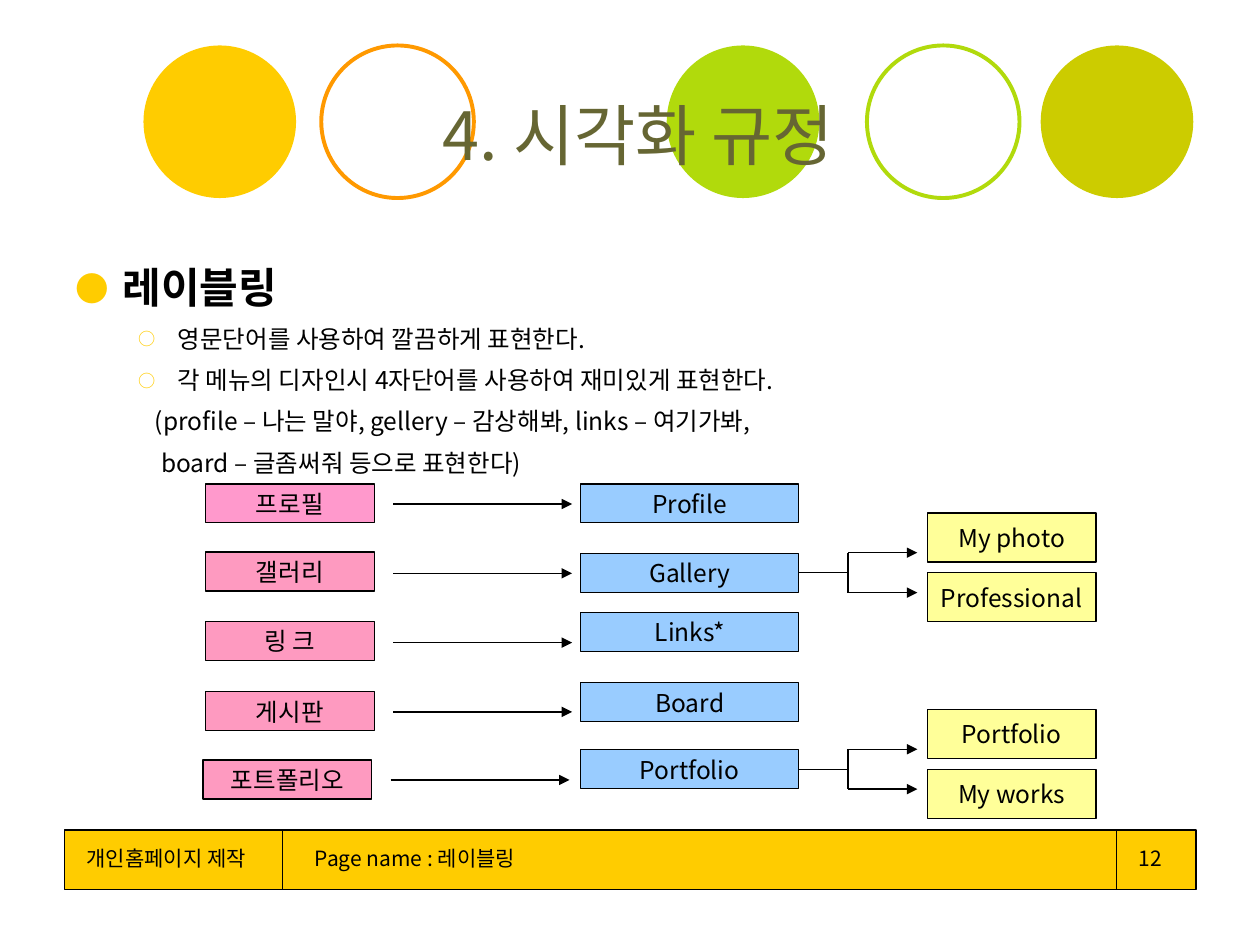
from lxml.etree import SubElement
from pptx import Presentation
from pptx.dml.color import RGBColor
from pptx.enum.shapes import MSO_CONNECTOR, MSO_SHAPE
from pptx.enum.text import MSO_ANCHOR, PP_ALIGN
from pptx.oxml.ns import qn
from pptx.util import Pt

FONT = "Noto Sans CJK KR"
BLACK, GOLD, LIME = "000000", "FFCC00", "B1DA0C"
PINK, BLUE, YELLOW = "FE9AC0", "99CCFF", "FFFF99"

# Content: circles are left, fill, outline
CIRCLES = [(381, LIME, None), (594.7, "CCCC00", None), (82, GOLD, None),
           (495.4, None, LIME), (183.6, None, "FF9900")]
TITLE = "4. 시각화 규정"
# text, size, bullet, bullet size %, left margin, first-line indent
BODY = [
    ("레이블링", 24, "●", 80, 27, -27),
    ("영문단어를 사용하여 깔끔하게 표현한다.", 14, "○", 70, 58.5, -22.5),
    ("각 메뉴의 디자인시 4자단어를 사용하여 재미있게 표현한다.", 14, "○", 70, 58.5, -22.5),
    ("(profile – 나는 말야, gellery – 감상해봐, links – 여기가봐,", 14, None, 0, 45.5, 0),
    ("board – 글좀써줘 등으로 표현한다)", 14, None, 0, 49, 0),
]
FOOTER = [("개인홈페이지 제작", 42.5, 130), ("Page name : 레이블링", 172.8, 436),
          ("12", 643.7, 28)]
# menu, its left, top and fill, arrow height, label, its top, sub-labels
ROWS = [
    ("프로필", 117.4, 276.5, "FF99CC", 288, "Profile", 276.5, []),
    ("갤러리", 117.4, 315.4, PINK, 327.6, "Gallery", 316.1, ["My photo", "Professional"]),
    ("링 크", 117.4, 355, PINK, 367.2, "Links*", 349.9, []),
    ("게시판", 117.4, 395.3, PINK, 406.8, "Board", 390.2, []),
    ("포트폴리오", 116, 434.2, PINK, 445.7, "Portfolio", 428.4, ["Portfolio", "My works"]),
]
MENU_W, LABEL_X, LABEL_W, ROW_H = 96.5, 331.9, 124.6, 22.3
SUB_X, SUB_H, SUB_STEP = 529.9, 28.1, 34.1
TRUNK_X, BRANCH_END, BRANCH_RISE = 484.6, 524.2, 11.4


def color(value):
    return RGBColor.from_string(value)


def style(para, size, ink=BLACK, bold=False):
    font = para.font
    font.size, font.bold, font.name = Pt(size), bold, FONT
    font.color.rgb = color(ink)
    SubElement(font._element, qn("a:ea"), typeface=FONT)


def add_shape(kind, x, y, w, h, fill=None, line=None, weight=0.75):
    shape = page.shapes.add_shape(kind, Pt(x), Pt(y), Pt(w), Pt(h))
    shape.shadow.inherit = False
    for paint, value in ((shape.fill, fill), (shape.line.fill, line)):
        if value:
            paint.solid()
            paint.fore_color.rgb = color(value)
        else:
            paint.background()
    if line:
        shape.line.width = Pt(weight)
    return shape


def add_label(text, x, y, w, h, fill):
    frame = add_shape(MSO_SHAPE.RECTANGLE, x, y, w, h, fill, BLACK).text_frame
    frame.word_wrap, frame.vertical_anchor = False, MSO_ANCHOR.MIDDLE
    para = frame.paragraphs[0]
    para.text, para.alignment = text, PP_ALIGN.CENTER
    style(para, 14)


def add_text(text, x, y, w, h, size, ink=BLACK):
    box = page.shapes.add_textbox(Pt(x), Pt(y), Pt(w), Pt(h))
    box.text_frame.word_wrap = True
    para = box.text_frame.paragraphs[0]
    para.text = text
    style(para, size, ink)
    return box.text_frame


def add_line(x1, y1, x2, y2, arrow=False, weight=0.75):
    line = page.shapes.add_connector(MSO_CONNECTOR.STRAIGHT, Pt(x1), Pt(y1), Pt(x2), Pt(y2))
    line.line.color.rgb = color(BLACK)
    line.line.width = Pt(weight)
    if arrow:
        SubElement(line.line._get_or_add_ln(), qn("a:tailEnd"), type="triangle")
    SubElement(line._element.spPr, qn("a:effectLst"))


def add_bullet(para, mark, percent, margin, indent):
    props = para._p.get_or_add_pPr()
    props.set("marL", str(Pt(margin)))
    props.set("indent", str(Pt(indent)))
    if mark:
        paint = SubElement(props, qn("a:buClr"))
        SubElement(paint, qn("a:srgbClr"), val=GOLD)
        SubElement(props, qn("a:buSzPct"), val=str(percent * 1000))
        SubElement(props, qn("a:buFont"), typeface=FONT)
        SubElement(props, qn("a:buChar"), char=mark)


deck = Presentation()
deck.slide_width, deck.slide_height = Pt(720), Pt(540)
page = deck.slides.add_slide(deck.slide_layouts[6])

# Header circles and footer bar
for left, fill, outline in CIRCLES:
    add_shape(MSO_SHAPE.OVAL, left, 26, 87.2, 87.2, fill, outline, 2.25)
add_shape(MSO_SHAPE.RECTANGLE, 36.8, 474.3, 646.6, 34, GOLD, BLACK)
for x in (637.9, 161.3):
    add_line(x, 474.3, x, 508.3, weight=0.5)
for text, left, width in FOOTER:
    add_text(text, left, 479.5, width, 21.6, 12)

# Title
title = add_text(TITLE, 41, 31.7, 648, 90, 38, "666633")
title.vertical_anchor = MSO_ANCHOR.MIDDLE
title.paragraphs[0].alignment = PP_ALIGN.CENTER

# Body text
body = page.shapes.add_textbox(Pt(36), Pt(140), Pt(648), Pt(136)).text_frame
body.word_wrap = True
for number, (text, size, mark, percent, margin, indent) in enumerate(BODY):
    para = body.add_paragraph() if number else body.paragraphs[0]
    para.text, para.line_spacing = text, 1.2
    if number:
        para.space_before = Pt(3.5)
    add_bullet(para, mark, percent, margin, indent)
    style(para, size, bold=number == 0)

# Label map: menu, arrow, label and branches
for menu, left, top, fill, arrow_y, label, label_top, subs in ROWS:
    add_label(menu, left, top, MENU_W, ROW_H, fill)
    add_line(left + 107.2, arrow_y, left + 209.5, arrow_y, arrow=True)
    add_label(label, LABEL_X, label_top, LABEL_W, ROW_H, BLUE)
    if subs:
        middle = label_top + ROW_H / 2
        ends = (middle - BRANCH_RISE, middle + BRANCH_RISE)
        add_line(LABEL_X + LABEL_W, middle, TRUNK_X, middle)
        add_line(TRUNK_X, ends[0], TRUNK_X, ends[1])
        for number, (sub, y) in enumerate(zip(subs, ends)):
            add_line(TRUNK_X, y, BRANCH_END, y, arrow=True)
            sub_top = middle - SUB_STEP + number * SUB_STEP
            add_label(sub, SUB_X, sub_top, MENU_W, SUB_H, YELLOW)

deck.save("out.pptx")
